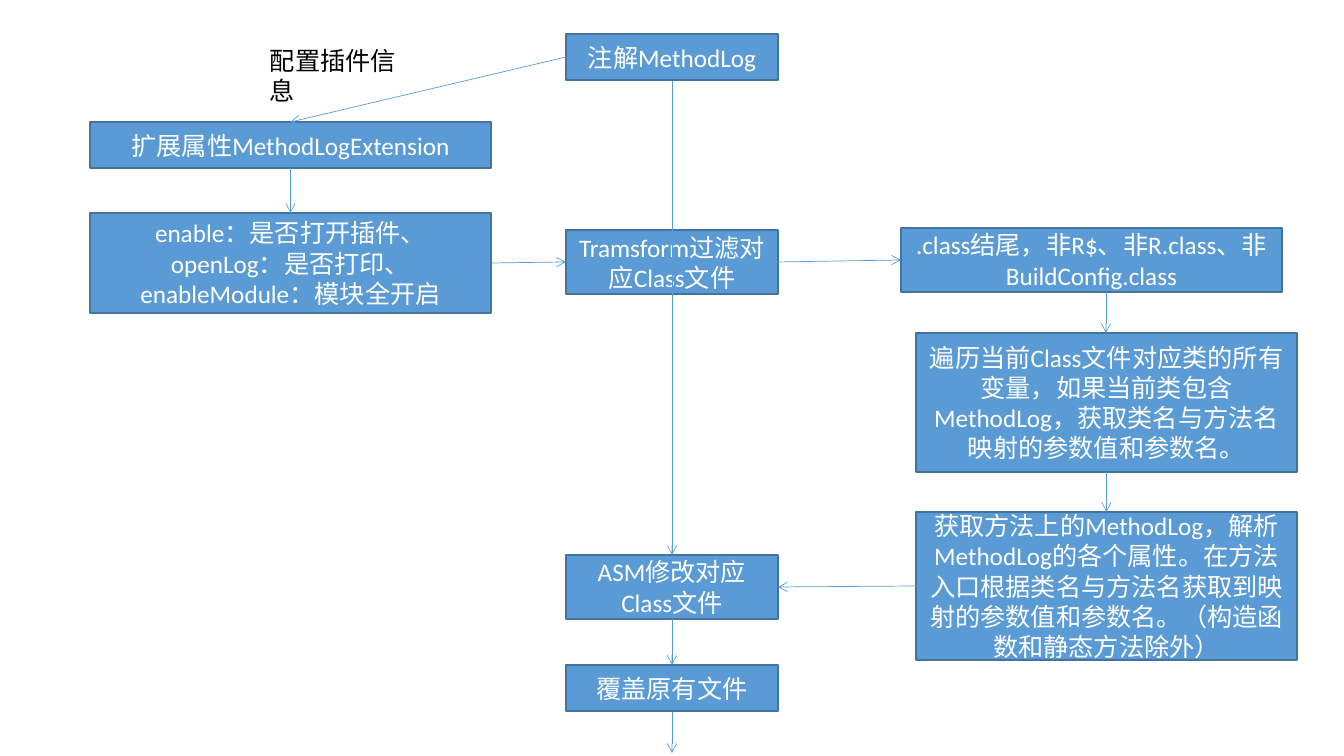
from lxml.etree import SubElement
from pptx import Presentation
from pptx.dml.color import RGBColor
from pptx.enum.lang import MSO_LANGUAGE_ID as Language
from pptx.enum.shapes import MSO_CONNECTOR as Connector, MSO_SHAPE as Shape
from pptx.enum.text import MSO_ANCHOR as Anchor, PP_ALIGN as Align
from pptx.oxml.ns import qn
from pptx.util import Pt

PIXEL = 914400 / 100.8
COLORS = {"fill": "5B9BD5", "border": "43739E", "light": "FFFFFF", "dark": "000000"}
TOP, LEFT, BOTTOM, RIGHT = range(4)

# Column: left, width
COLUMNS = {"config": (90, 401), "main": (566, 212), "rules": (901, 381), "detail": (916, 381)}

# Box: column, top, height, text
BOXES = {
    "annotation": ("main", 34, 46, "注解MethodLog"),
    "extension": ("config", 122, 46, "扩展属性MethodLogExtension"),
    "options": ("config", 213, 100, "enable：是否打开插件、openLog：是否打印、enableModule：模块全开启"),
    "transform": ("main", 230, 64, "Tramsform过滤对应Class文件"),
    "asm": ("main", 555, 64, "ASM修改对应Class文件"),
    "overwrite": ("main", 665, 46, "覆盖原有文件"),
    "filter": ("rules", 228, 64, ".class结尾，非R$、非R.class、非BuildConfig.class"),
    "parse_log": ("detail", 512, 148,
                  "获取方法上的MethodLog，解析MethodLog的各个属性。在方法入口根据类名与方法名"
                  "获取到映射的参数值和参数名。（构造函数和静态方法除外）"),
    "scan_class": ("detail", 333, 139,
                   "遍历当前Class文件对应类的所有变量，如果当前类包含MethodLog，"
                   "获取类名与方法名映射的参数值和参数名。"),
}
LABEL = (260, 40, 171, 40, "配置插件信息")

# Arrow glued to boxes: start box, side, end box, side
LINKS = [
    ("annotation", LEFT, "extension", TOP),
    ("extension", BOTTOM, "options", TOP),
    ("options", RIGHT, "transform", LEFT),
    ("transform", RIGHT, "filter", LEFT),
    ("scan_class", BOTTOM, "parse_log", TOP),
    ("parse_log", LEFT, "asm", RIGHT),
    ("asm", BOTTOM, "overwrite", TOP),
]
# Vertical arrow: x, start y, end y
TRUNK = (672, 80, 753)
FREE_ARROWS = [(672, 185, 555), (1106, 292, 333)]


def px(*lengths):
    """Turn pixels into EMU."""
    return [round(length * PIXEL) for length in lengths]


def color(name):
    """Look up a named colour."""
    return RGBColor.from_string(COLORS[name])


def add_text(frame, text, tone):
    """Add one formatted run to a text frame's first paragraph."""
    span = frame.paragraphs[0].add_run()
    span.text = text
    span.font.name, span.font.size = "Calibri", Pt(18)
    span.font.color.rgb = color(tone)
    span.font.language_id = Language.SIMPLIFIED_CHINESE


def add_box(slide, column, top, height, text):
    """Draw a flow box with centred text."""
    left, width = COLUMNS[column]
    box = slide.shapes.add_shape(Shape.RECTANGLE, *px(left, top, width, height))
    box.shadow.inherit = False
    box.fill.solid()
    box.fill.fore_color.rgb = color("fill")
    box.line.color.rgb = color("border")
    box.line.width = Pt(1)
    frame = box.text_frame
    frame.word_wrap = True
    frame.vertical_anchor = Anchor.MIDDLE
    frame.paragraphs[0].alignment = Align.CENTER
    add_text(frame, text, "light")
    return box


def add_arrow(slide, x=0, start=0, end=0):
    """Draw a thin vertical arrow with an open head at its end."""
    arrow = slide.shapes.add_connector(Connector.STRAIGHT, *px(x, start, x, end))
    arrow.line.color.rgb = color("fill")
    arrow.line.width = Pt(0.5)
    SubElement(arrow.line._get_or_add_ln(), qn("a:tailEnd"), type="arrow")
    SubElement(arrow._element.spPr, qn("a:effectLst"))
    return arrow


def main():
    """Build the flow chart slide."""
    deck = Presentation()
    deck.slide_width, deck.slide_height = px(1344, 756)
    slide = deck.slides.add_slide(deck.slide_layouts[6])

    add_arrow(slide, *TRUNK)
    boxes = {name: add_box(slide, *row) for name, row in BOXES.items()}

    *place, text = LABEL
    label = slide.shapes.add_textbox(*px(*place))
    label.text_frame.word_wrap = False
    add_text(label.text_frame, text, "dark")

    for start, start_side, end, end_side in LINKS:
        arrow = add_arrow(slide)
        arrow.begin_connect(boxes[start], start_side)
        arrow.end_connect(boxes[end], end_side)
    for row in FREE_ARROWS:
        add_arrow(slide, *row)

    deck.save("out.pptx")


main()
